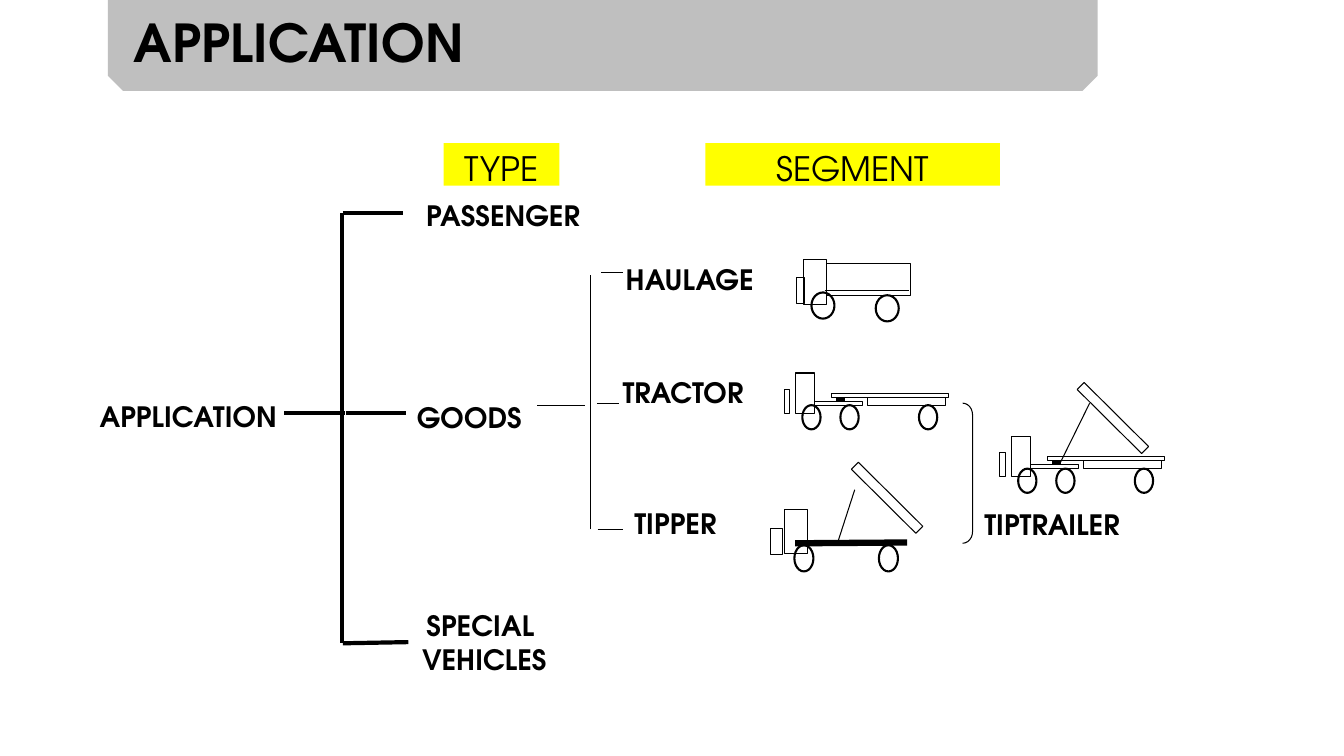
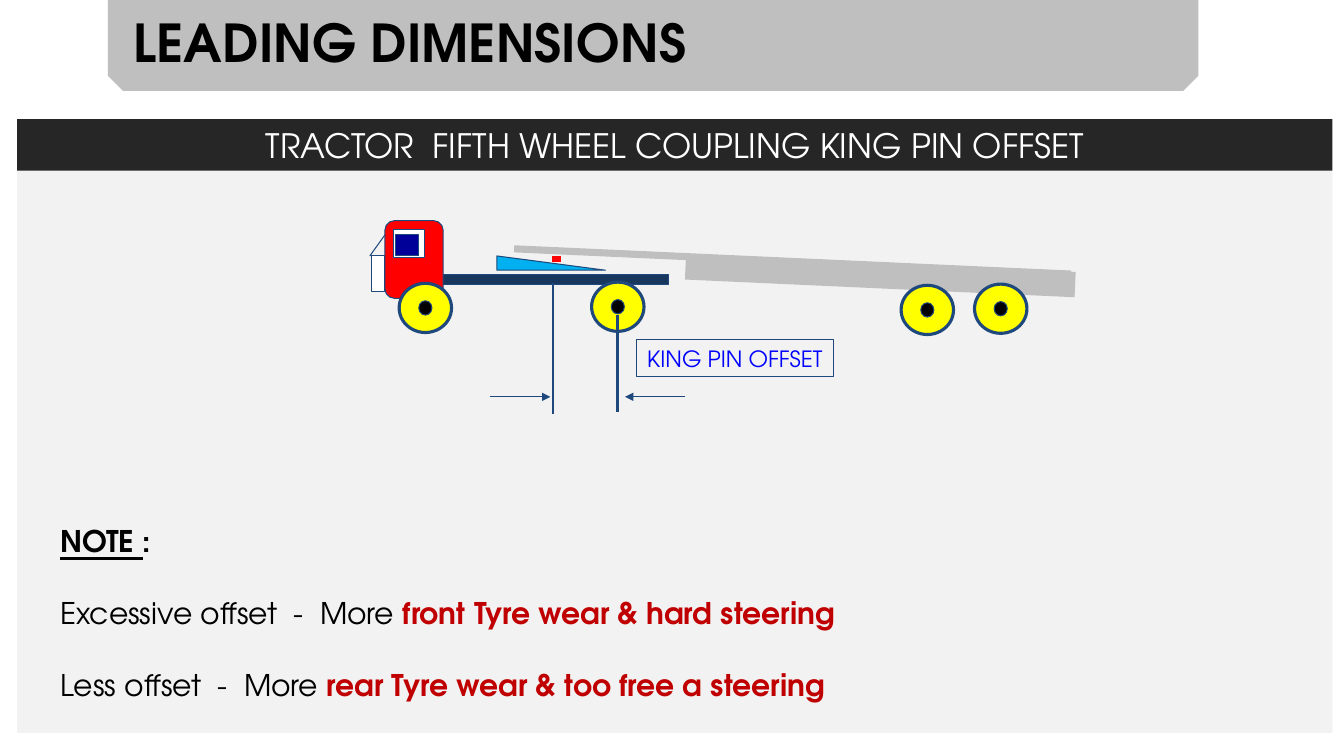
from lxml.etree import SubElement
from pptx import Presentation
from pptx.dml.color import RGBColor
from pptx.enum.shapes import MSO_CONNECTOR, MSO_SHAPE as SHAPE
from pptx.enum.text import MSO_ANCHOR as ANCHOR, PP_ALIGN as ALIGN
from pptx.oxml.ns import qn
from pptx.util import Cm, Pt

FONT = "TeX Gyre Adventor"
BLACK, WHITE, YELLOW, RED = "000000", "FFFFFF", "FFFF00", "FF0000"
GREY, PANEL, DARK, NOTE_RED = "BFBFBF", "F2F2F2", "262626", "C00000"
NAVY, CHASSIS, SKY, BLUE, GLASS = "1F497D", "17375E", "00B0F0", "0000FF", "000099"
LEFT, CENTER = ALIGN.LEFT, ALIGN.CENTER
TIP_ANGLE, TRAILER_ANGLE = 44.8, 2.6

HEADINGS = [("TYPE", 11.18, 2.92), ("SEGMENT", 17.78, 7.42)]
LABELS = [
    ("APPLICATION", 2.26, 9.95, 5, LEFT),
    ("PASSENGER", 10.49, 4.88, 4.6, LEFT),
    ("GOODS", 10.04, 9.96, 3.58, CENTER),
    ("SPECIAL  VEHICLES", 9.88, 15.21, 4.65, CENTER),
    ("HAULAGE", 15.52, 6.48, 4.2, LEFT),
    ("TRACTOR", 15.44, 9.35, 4.2, LEFT),
    ("TIPPER", 15.74, 12.65, 3.2, LEFT),
    ("TIPTRAILER", 24.56, 12.67, 4.2, LEFT),
]
TYPE_LINES = [
    (7.16, 10.41, 8.69, 10.41), (8.71, 10.41, 10.24, 10.41),
    (8.61, 5.36, 8.61, 16.21), (8.64, 5.36, 10.16, 5.36),
    (8.64, 16.21, 10.29, 16.18),
]
SEGMENT_LINES = [
    (13.54, 10.21, 14.73, 10.21), (14.88, 13.34, 14.88, 6.93),
    (15.14, 6.86, 15.7, 6.86), (15.04, 10.16, 15.6, 10.16),
    (15.06, 13.34, 15.7, 13.34),
]
HAULAGE = {
    "boxes": [(20.24, 6.55, 0.58, 1.12), (20.83, 6.65, 2.11, 0.79),
              (20.07, 6.99, 0.2, 0.66)],
    "wheels": [(20.45, 7.37, 0.58, 0.66), (22.07, 7.44, 0.58, 0.66)],
    "lines": [(20.78, 7.32, 22.91, 7.32, 0.75)],
}
TIPPER = {
    "boxes": [(19.76, 12.85, 0.58, 1.09), (19.43, 13.31, 0.28, 0.66)],
    "wheels": [(20.02, 13.74, 0.48, 0.66), (22.15, 13.74, 0.48, 0.66)],
    "lines": [(20.04, 13.69, 22.86, 13.67, 4.5), (21.11, 13.67, 21.54, 12.34, 0.75)],
    "tip": (21.21, 12.42),
}
TRACTOR = {
    "boxes": [(0.3, 0, 0.46, 1.02), (0, 0.41, 0.15, 0.61), (0.76, 0.71, 1.22, 0.1),
              (1.19, 0.51, 2.95, 0.1), (2.11, 0.61, 1.96, 0.2)],
    "wheels": [(x, 0.81, 0.46, 0.61) for x in (0.46, 1.42, 3.4)],
    "lines": [(1.42, 0.61, 1.42, 0.71, 6)],
}
TIPTRAILER = {
    **TRACTOR,
    "lines": TRACTOR["lines"] + [(2.26, -0.84, 1.52, 0.66, 0.75)],
    "tip": (1.7, -0.59),
}
TRUCKS = [(HAULAGE, 0, 0), (TRACTOR, 19.76, 9.4), (TIPPER, 0, 0), (TIPTRAILER, 25.2, 11)]

TRACTOR_BODY = [
    (SHAPE.RECTANGLE, 10.62, 6.91, 6.22, 0.25, CHASSIS),
    (SHAPE.ROUNDED_RECTANGLE, 9.7, 5.56, 1.47, 1.96, RED),
    (SHAPE.RECTANGLE, 9.37, 6.45, 0.33, 0.89, WHITE),
    (SHAPE.RECTANGLE, 9.91, 5.79, 0.79, 0.71, WHITE),
    (SHAPE.RECTANGLE, 9.98, 5.92, 0.58, 0.53, GLASS),
]
TRAILER_BODY = [(12.95, 6.5, 14.05, 0.18), (17.27, 6.63, 9.83, 0.64)]
WHEELS = [(10.06, 7.14), (14.91, 7.11), (22.71, 7.19), (24.56, 7.16)]
WHEEL_W, WHEEL_H, HUB_W, HUB_H = 1.32, 1.24, 0.33, 0.36
OFFSET_LINES = [
    (9.7, 5.92, 9.32, 6.45, 0.75, False),
    (13.94, 7.14, 13.94, 10.44, 1.5, False),
    (15.57, 7.95, 15.57, 10.39, 2.25, False),
    (12.34, 10, 13.87, 10, 0.75, True),
    (17.27, 10, 15.75, 10, 0.75, True),
]
NOTES = [
    [("NOTE ", BLACK, True, True), (":", BLACK, True, False)],
    [("Excessive offset  -  More ", BLACK, False, False),
     ("front Tyre wear & hard steering", NOTE_RED, True, False)],
    [("Less offset  -  More ", BLACK, False, False),
     ("rear Tyre wear & too free a steering", NOTE_RED, True, False)],
]


def rgb(value):
    """Turn a hex string into a colour."""
    return RGBColor.from_string(value)


def style(font, size, colour=BLACK, bold=False, underline=False):
    """Set the shared typeface with the given size, colour and weight."""
    font.name, font.size, font.bold, font.underline = FONT, Pt(size), bold, underline
    font.color.rgb = rgb(colour)


def write(sp, text, size, colour=BLACK, bold=False, align=CENTER, anchor=ANCHOR.TOP, wrap=True):
    """Put one styled paragraph into a shape."""
    tf = sp.text_frame
    tf.word_wrap, tf.vertical_anchor, tf.text = wrap, anchor, text
    p = tf.paragraphs[0]
    p.alignment = align
    style(p.runs[0].font, size, colour, bold)


def shape(s, kind, x, y, w, h, fill=None, line=None, width=0.75, angle=0):
    """Add a preset shape, measured in centimetres."""
    sp = s.shapes.add_shape(kind, Cm(x), Cm(y), Cm(w), Cm(h))
    sp.shadow.inherit = False
    sp.rotation = angle
    if fill:
        sp.fill.solid()
        sp.fill.fore_color.rgb = rgb(fill)
    else:
        sp.fill.background()
    if line:
        sp.line.color.rgb = rgb(line)
        sp.line.width = Pt(width)
    else:
        sp.line.fill.background()
    return sp


def line(s, x1, y1, x2, y2, width, colour=BLACK, arrow=False):
    """Add a straight line, with an arrowhead at its end if asked."""
    c = s.shapes.add_connector(MSO_CONNECTOR.STRAIGHT, Cm(x1), Cm(y1), Cm(x2), Cm(y2))
    c.line.color.rgb = rgb(colour)
    c.line.width = Pt(width)
    if arrow:
        SubElement(c.line._get_or_add_ln(), qn("a:tailEnd"), type="triangle")
    SubElement(c._element.spPr, qn("a:effectLst"))


def textbox(s, x, y, w, h):
    """Add an empty text box, measured in centimetres."""
    return s.shapes.add_textbox(Cm(x), Cm(y), Cm(w), Cm(h))


def titled_slide(prs, title, band_width):
    """Add a blank slide with the grey title band."""
    s = prs.slides.add_slide(prs.slide_layouts[6])
    shape(s, SHAPE.SNIP_2_SAME_RECTANGLE, 2.72, 0, band_width, 2.29, GREY, angle=180)
    write(textbox(s, 3.12, 0.13, 29.06, 1.85), title, 37.3, bold=True, align=LEFT)
    return s


def truck(s, parts, dx, dy):
    """Draw one outlined truck, moved by dx and dy."""
    for x, y, w, h in parts["boxes"]:
        shape(s, SHAPE.RECTANGLE, x + dx, y + dy, w, h, line=BLACK)
    for x, y, w, h in parts["wheels"]:
        shape(s, SHAPE.OVAL, x + dx, y + dy, w, h, line=BLACK, width=1.5)
    for x1, y1, x2, y2, width in parts["lines"]:
        line(s, x1 + dx, y1 + dy, x2 + dx, y2 + dy, width)
    if "tip" in parts:
        x, y = parts["tip"]
        shape(s, SHAPE.RECTANGLE, x + dx, y + dy, 2.29, 0.25, line=BLACK, angle=TIP_ANGLE)


def application_slide(prs):
    """Build the tree of vehicle types and segments."""
    s = titled_slide(prs, "APPLICATION", 24.94)
    for text, x, w in HEADINGS:
        write(shape(s, SHAPE.RECTANGLE, x, 3.61, w, 1.07, YELLOW), text, 24)
    for lines, width in ((TYPE_LINES, 3), (SEGMENT_LINES, 0.75)):
        for ends in lines:
            line(s, *ends, width)
    for text, x, y, w, align in LABELS:
        write(textbox(s, x, y, w, 1.12), text, 20, bold=True, align=align)
    for parts, dx, dy in TRUCKS:
        truck(s, parts, dx, dy)
    bracket = shape(s, SHAPE.RIGHT_BRACKET, 24.26, 10.16, 0.25, 3.53, line=BLACK)
    bracket.adjustments[0] = 1.17


def dimensions_slide(prs):
    """Build the king pin offset drawing and its notes."""
    s = titled_slide(prs, "LEADING DIMENSIONS", 27.48)
    shape(s, SHAPE.RECTANGLE, 0.43, 4.27, 33.15, 14.2, PANEL)
    bar = shape(s, SHAPE.RECTANGLE, 0.43, 3, 33.15, 1.3, DARK)
    write(bar, "TRACTOR  FIFTH WHEEL COUPLING KING PIN OFFSET", 24, WHITE, anchor=ANCHOR.MIDDLE)

    for kind, x, y, w, h, fill in TRACTOR_BODY:
        shape(s, kind, x, y, w, h, fill, NAVY)
    for x, y, w, h in TRAILER_BODY:
        shape(s, SHAPE.RECTANGLE, x, y, w, h, GREY, angle=TRAILER_ANGLE)
    for x, y in WHEELS:
        shape(s, SHAPE.OVAL, x, y, WHEEL_W, WHEEL_H, YELLOW, NAVY, 2.25)
        shape(s, SHAPE.OVAL, x + (WHEEL_W - HUB_W) / 2, y + (WHEEL_H - HUB_H) / 2,
              HUB_W, HUB_H, BLACK, NAVY)
    line(s, 14.02, 6.45, 14.02, 6.6, 6, RED)
    shape(s, SHAPE.RIGHT_TRIANGLE, 12.52, 6.45, 2.74, 0.36, SKY, NAVY)
    for x1, y1, x2, y2, width, arrow in OFFSET_LINES:
        line(s, x1, y1, x2, y2, width, NAVY, arrow)
    label = shape(s, SHAPE.RECTANGLE, 16.03, 8.56, 4.98, 0.94, line=NAVY)
    write(label, "KING PIN OFFSET", 16, BLUE, anchor=ANCHOR.MIDDLE, wrap=False)

    tf = textbox(s, 1.27, 13.03, 27.3, 4.83).text_frame
    tf.word_wrap, tf.vertical_anchor = True, ANCHOR.MIDDLE
    for i, runs in enumerate(NOTES):
        p = tf.add_paragraph() if i else tf.paragraphs[0]
        if i:
            p.space_before = Pt(26)
        for text, colour, bold, underline in runs:
            r = p.add_run()
            r.text = text
            style(r.font, 21.3, colour, bold, underline)


def main():
    """Build both slides and save them."""
    prs = Presentation()
    prs.slide_width, prs.slide_height = Cm(33.87), Cm(19.05)
    application_slide(prs)
    dimensions_slide(prs)
    prs.save("out.pptx")


if __name__ == "__main__":
    main()
